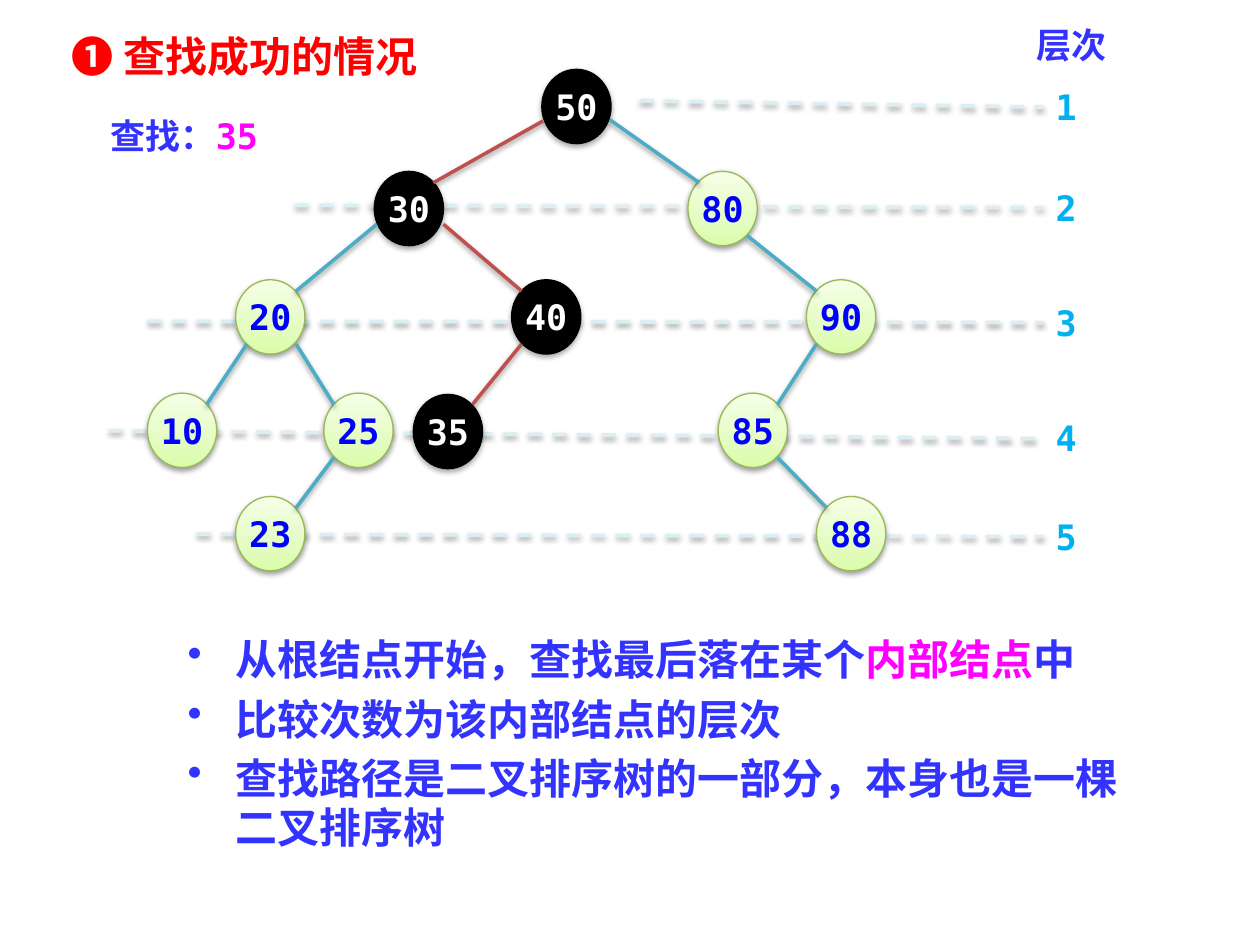
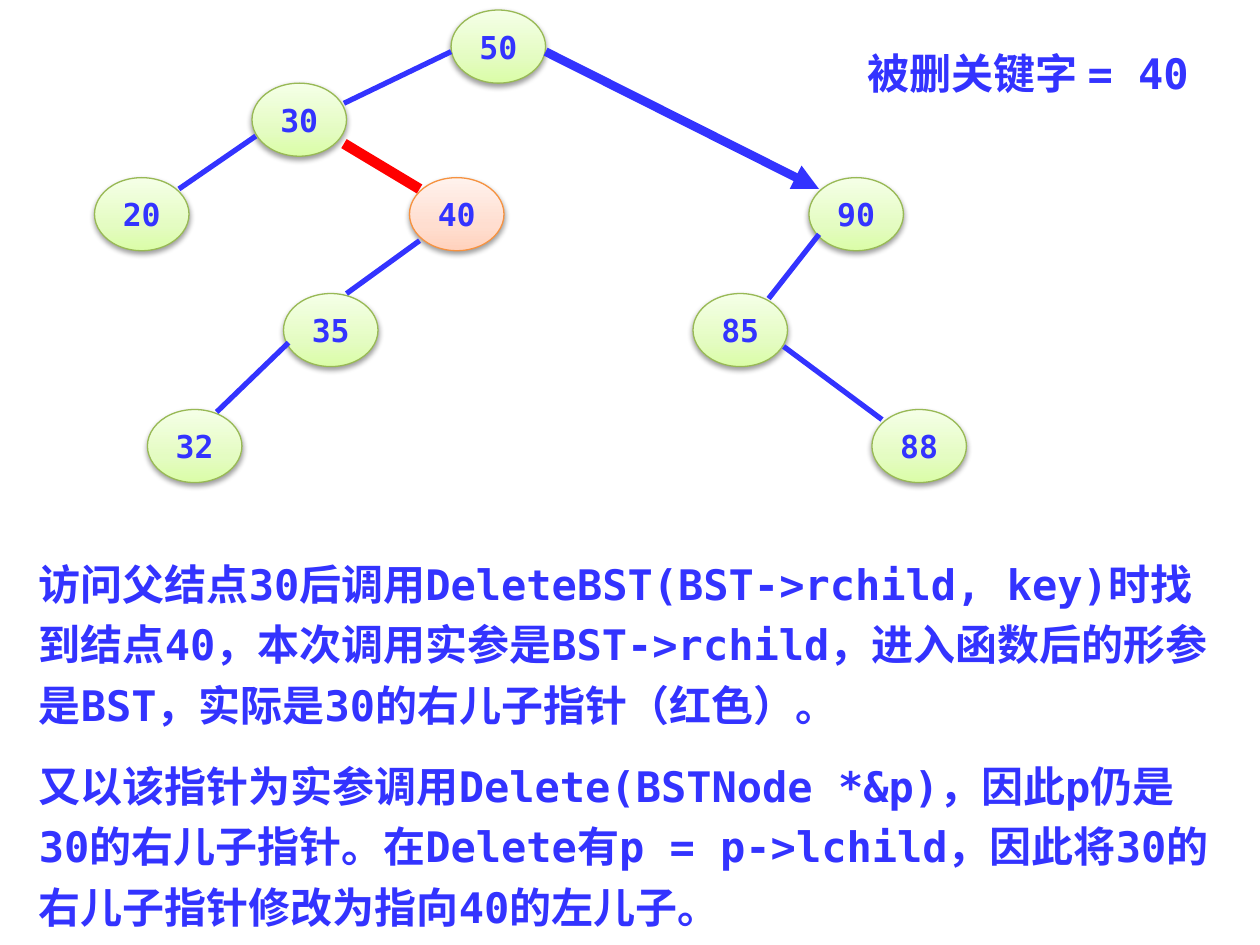
from copy import deepcopy
from lxml.etree import SubElement as Sub
from pptx import Presentation
from pptx.dml.color import RGBColor
from pptx.enum.dml import MSO_LINE_DASH_STYLE as Dash
from pptx.enum.shapes import MSO_CONNECTOR as Conn, MSO_SHAPE as Form
from pptx.enum.text import MSO_ANCHOR as Anchor, PP_ALIGN as Align
from pptx.oxml.ns import qn
from pptx.util import Inches, Pt

rgb = RGBColor.from_string
MONO, SANS = "DejaVu Sans Mono", "Noto Sans CJK SC"
BLUE, PINK, RED, SKY = "3333FF", "FF00FF", "FF0000", "00B0F0"
TEAL, BRICK, PALE = "4BACC6", "C0504D", "DBEEF4"
GREEN = ("98B955", ["DAFDA7", "E4FCC2", "F5FFE7"])
PEACH = ("F69240", ["FFD2BD", "FFDED0", "FFF2ED"])
BLACK = ("000000", ["000000"])


def shade(props, alpha=38):
    box = Sub(props, qn("a:effectLst"))
    cast = Sub(box, qn("a:outerShdw"), blurRad="40000", dist="20000",
               dir="5400000", rotWithShape="0")
    tint = Sub(cast, qn("a:srgbClr"), val="000000")
    Sub(tint, qn("a:alpha"), val=str(alpha * 1000))
    return box


def write(shape, paras, size, font=MONO, para={}, **frame):
    body = shape.text_frame
    for key, val in ({"word_wrap": True} | frame).items():
        setattr(body, key, val)
    for i, runs in enumerate(paras):
        par = body.add_paragraph() if i else body.paragraphs[0]
        for key, val in para.items():
            setattr(par, key, val)
        for text, color in runs:
            run = par.add_run()
            run.text = text
            for key, val in {"size": Pt(size), "bold": True, "name": font}.items():
                setattr(run.font, key, val)
            run.font.color.rgb = rgb(color)
            Sub(run._r.get_or_add_rPr(), qn("a:ea"), typeface=SANS)
    return body


prs = Presentation()
prs.slide_width, prs.slide_height = Inches(10), Inches(7.5)
find, cut = [prs.slides.add_slide(prs.slide_layouts[6]) for _ in range(2)]

levels = [
    (5.08, 0.8, 8.28, 0.85), (2.34, 1.63, 8.28, 1.65), (1.17, 2.55, 8.28, 2.56),
    (0.86, 3.42, 8.28, 3.48), (1.56, 4.24, 8.28, 4.26),
]
limbs = [
    (4.84, 0.95, 5.55, 1.45), (2.99, 1.78, 2.35, 2.31), (1.96, 2.73, 1.64, 3.21),
    (2.35, 2.73, 2.65, 3.21), (2.65, 3.63, 2.35, 4.03), (5.93, 1.87, 6.48, 2.31),
    (6.48, 2.73, 6.17, 3.21), (6.17, 3.63, 6.56, 4.03),
]
route = [(4.31, 0.96, 3.44, 1.45), (3.52, 1.78, 4.14, 2.31), (4.14, 2.73, 3.75, 3.21)]
stems = [
    (3.58, 0.41, 2.73, 0.82), (2.03, 1.08, 1.42, 1.5), (3.33, 1.91, 2.75, 2.33),
    (6.5, 1.86, 6.1, 2.37), (6.22, 2.75, 7, 3.33), (2.29, 2.72, 1.72, 3.27),
]
steps = [(50, 4.3, 0.55), (30, 2.97, 1.36), (40, 4.06, 2.22), (35, 3.28, 3.13)]
rest = [
    (80, 5.46, 1.36), (20, 1.87, 2.22), (90, 6.4, 2.22), (10, 1.17, 3.12),
    (25, 2.57, 3.12), (85, 5.7, 3.12), (23, 1.87, 3.94), (88, 6.48, 3.94),
]
kept = [
    (50, 3.58, 0.08), (30, 2, 0.66), (20, 0.75, 1.41), (90, 6.42, 1.41),
    (35, 2.25, 2.33), (85, 5.5, 2.33), (32, 1.17, 3.25), (88, 6.92, 3.25),
]

lines = [
    (find, levels, PALE, 2), (find, limbs, TEAL, 2), (find, route, BRICK, 2),
    (cut, stems, BLUE, 3), (cut, [(2.73, 1.14, 3.33, 1.5)], RED, 6),
    (cut, [(4.33, 0.41, 6.5, 1.5)], BLUE, 5),
]
nodes = [
    (find, rest, GREEN, "0000FF", 20, 0.55, 0.59),
    (find, steps, BLACK, "FFFFFF", 20, 0.55, 0.59),
    (cut, kept, GREEN, BLUE, 18, 0.75, 0.58),
    (cut, [(40, 3.25, 1.41)], PEACH, BLUE, 18, 0.75, 0.58),
]

for n, (slide, ends, color, width) in enumerate(lines):
    if n == 1:
        for page, group, (edge, tints), ink, size, wide, high in nodes:
            for key, left, top in group:
                node = page.shapes.add_shape(
                    Form.OVAL, *map(Inches, (left, top, wide, high)))
                props = node._element.spPr
                if len(tints) == 1:
                    node.fill.solid()
                    node.fill.fore_color.rgb = rgb(tints[0])
                else:
                    node.fill.gradient()
                    node.fill.gradient_angle = 90
                    stops = props.find(qn("a:gradFill")).find(qn("a:gsLst"))
                    stops.insert(1, deepcopy(stops[0]))
                    for stop, tint, spot in zip(node.fill.gradient_stops, tints, (0, 0.35, 1)):
                        stop.color.rgb = rgb(tint)
                        stop.position = spot
                node.line.color.rgb = rgb(edge)
                node.line.width = Pt(0.75)
                shade(props, 35 if edge == "000000" else 38)
                write(node, [[(str(key), ink)]], size, para={"alignment": Align.CENTER},
                      word_wrap=False, vertical_anchor=Anchor.MIDDLE,
                      margin_left=0, margin_right=0)
    for end in ends:
        link = slide.shapes.add_connector(Conn.STRAIGHT, *map(Inches, end))
        link.line.color.rgb = rgb(color)
        link.line.width = Pt(width)
        props = link._element.spPr
        if color == PALE:
            link.line.dash_style = Dash.DASH
        if width == 5:
            Sub(props.find(qn("a:ln")), qn("a:tailEnd"), type="triangle")
        if slide is find:
            shade(props)
        else:
            Sub(props, qn("a:effectLst"))

labels = [
    (find, 0.47, 0.19, 2.97, 0.5, [("❶ 查找成功的情况", RED)], 24, SANS),
    (find, 0.78, 0.86, 1.48, 0.44, [("查找：", BLUE), ("35", PINK)], 20, MONO),
    (find, 8.13, 0.14, 0.86, 0.44, [("层次", BLUE)], 20, SANS),
    (cut, 6.79, 0.33, 2.82, 0.5, [("被删关键字 = 40", BLUE)], 24, MONO),
]
for i, top in enumerate((0.63, 1.43, 2.34, 3.26, 4.04), 1):
    labels.append((find, 8.28, top, 0.39, 0.44, [(str(i), SKY)], 20, MONO))
for slide, left, top, wide, high, runs, size, font in labels:
    box = slide.shapes.add_textbox(*map(Inches, (left, top, wide, high)))
    body = write(box, [runs], size, font, word_wrap=False)
    if size == 24 and slide is find:
        mark = body.paragraphs[0].runs[0]._r.get_or_add_rPr()
        mark.insert(1, shade(mark))

rules = [
    [("从根结点开始，查找最后落在某个", BLUE), ("内部结点", PINK), ("中", BLUE)],
    [("比较次数为该内部结点的层次", BLUE)],
    [("查找路径是二叉排序树的一部分，本身也是一棵二叉排序树", BLUE)],
]
box = find.shapes.add_textbox(*map(Inches, (1.33, 4.92, 7.77, 1.98)))
body = write(box, rules, 24, para={"line_spacing": Pt(28), "space_before": Pt(6)},
             margin_left=Inches(0.16), margin_top=Inches(0.12), margin_bottom=Inches(0.12))
for par in body.paragraphs:
    props = par._p.get_or_add_pPr()
    props.set("marL", str(Inches(0.38)))
    props.set("indent", str(-Inches(0.38)))
    Sub(props, qn("a:buChar"), char="•")

notes = [
    "访问父结点30后调用DeleteBST(BST->rchild, key)时找到结点40，本次调用实参是BST->rchild，"
    "进入函数后的形参是BST，实际是30的右儿子指针（红色）。",
    "又以该指针为实参调用Delete(BSTNode *&p)，因此p仍是30的右儿子指针。"
    "在Delete有p = p->lchild，因此将30的右儿子指针修改为指向40的左儿子。",
]
box = cut.shapes.add_textbox(*map(Inches, (0.21, 4.3, 9.5, 3.21)))
write(box, [[(note, BLUE)] for note in notes], 24,
      para={"line_spacing": 1.2, "space_before": Pt(12)})

prs.save("out.pptx")
